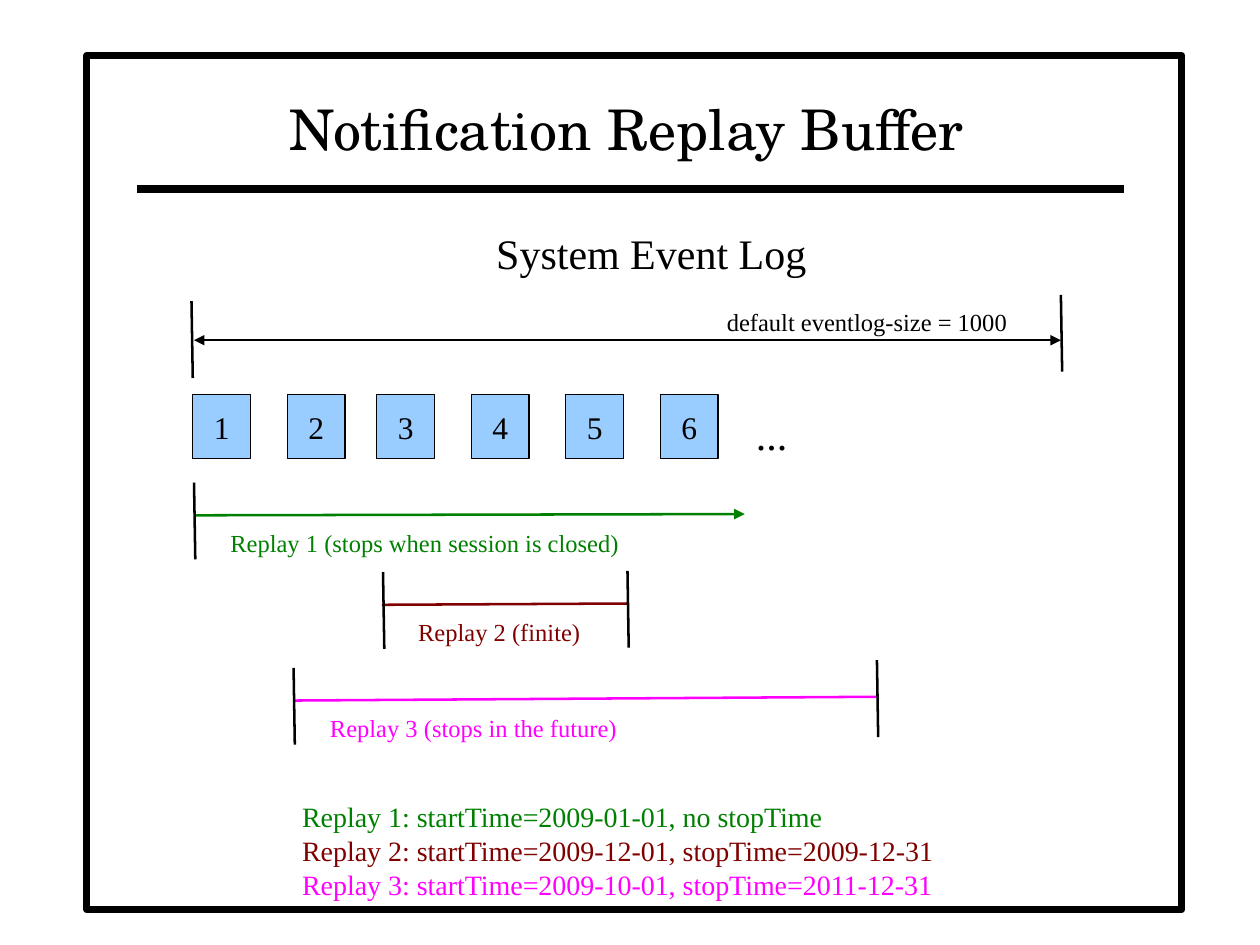
from dataclasses import dataclass
from typing import Optional

from lxml.etree import SubElement
from pptx import Presentation
from pptx.dml.color import RGBColor
from pptx.enum.shapes import MSO_CONNECTOR, MSO_SHAPE
from pptx.enum.text import MSO_ANCHOR, PP_ALIGN
from pptx.oxml.ns import qn
from pptx.util import Inches, Pt


@dataclass(frozen=True)
class Theme:
    black: RGBColor = RGBColor(0x00, 0x00, 0x00)
    white: RGBColor = RGBColor(0xFF, 0xFF, 0xFF)
    event: RGBColor = RGBColor(0x99, 0xCC, 0xFF)
    green: RGBColor = RGBColor(0x00, 0x80, 0x00)
    maroon: RGBColor = RGBColor(0x80, 0x00, 0x00)
    magenta: RGBColor = RGBColor(0xFF, 0x00, 0xFF)
    title_font: str = "TeX Gyre Schola"
    body_font: str = "Times New Roman"
    title_size: int = 32
    heading_size: int = 24
    event_size: int = 18
    legend_size: int = 16
    label_size: int = 14
    span_width: float = 1.45
    rule_width: float = 4.5
    frame_width: float = 4


THEME = Theme()


@dataclass(frozen=True)
class Span:
    """A time span: a line from (x1, y1) to (x2, y2), with arrows if open."""
    x1: float
    y1: float
    x2: float
    y2: float
    color: RGBColor
    head: bool = False
    tail: bool = False


@dataclass(frozen=True)
class Replay:
    span: Span
    label: str
    label_width: float
    times: str


SPAN_OF_LOG = Span(1.54, 2.7, 8.42, 2.7, THEME.black, head=True, tail=True)
REPLAYS = (
    Replay(Span(1.54, 4.09, 5.91, 4.08, THEME.green, tail=True),
           "Replay 1 (stops when session is closed)", 3.3,
           "Replay 1: startTime=2009-01-01, no stopTime"),
    Replay(Span(3.03, 4.8, 4.98, 4.79, THEME.maroon),
           "Replay 2 (finite)", 1.49,
           "Replay 2: startTime=2009-12-01, stopTime=2009-12-31"),
    Replay(Span(2.33, 5.56, 6.96, 5.53, THEME.magenta),
           "Replay 3 (stops in the future)", 2.49,
           "Replay 3: startTime=2009-10-01, stopTime=2011-12-31"),
)
EVENT_LEFTS = (1.53, 2.28, 2.99, 3.74, 4.49, 5.24)
TICKS = ((1.52, 2.39), (8.42, 2.34), (1.54, 3.83), (3.04, 4.54),
         (4.98, 4.53), (2.33, 5.3), (6.96, 5.24))
TICK_LEAN, TICK_HEIGHT = 0.01, 0.61


def style(p, size: int, color: RGBColor = THEME.black,
          font: str = THEME.body_font, align: Optional[PP_ALIGN] = None) -> None:
    p.font.size = Pt(size)
    p.font.name = font
    p.font.color.rgb = color
    p.alignment = align


def add_line(slide, span: Span, width: float = THEME.span_width) -> None:
    line = slide.shapes.add_connector(
        MSO_CONNECTOR.STRAIGHT, Inches(span.x1), Inches(span.y1),
        Inches(span.x2), Inches(span.y2))
    line.line.color.rgb = span.color
    line.line.width = Pt(width)
    ln = line.line._get_or_add_ln()
    for tag, wanted in (("a:headEnd", span.head), ("a:tailEnd", span.tail)):
        if wanted:
            SubElement(ln, qn(tag), type="triangle")
    SubElement(line._element.spPr, qn("a:effectLst"))


def add_box(slide, left: float, top: float, width: float, height: float,
            fill: RGBColor, line_width: float):
    sp = slide.shapes.add_shape(MSO_SHAPE.RECTANGLE, Inches(left), Inches(top),
                                Inches(width), Inches(height))
    sp.shadow.inherit = False
    sp.fill.solid()
    sp.fill.fore_color.rgb = fill
    sp.line.color.rgb = THEME.black
    sp.line.width = Pt(line_width)
    return sp


def add_text(slide, left: float, top: float, width: float, height: float,
             lines: list[tuple[str, RGBColor]], size: int) -> None:
    tf = slide.shapes.add_textbox(Inches(left), Inches(top), Inches(width),
                                  Inches(height)).text_frame
    tf.word_wrap = False
    for i, (text, color) in enumerate(lines):
        p = tf.add_paragraph() if i else tf.paragraphs[0]
        p.text = text
        style(p, size, color)


def add_event(slide, number: int, left: float) -> None:
    sp = add_box(slide, left, 3.13, 0.46, 0.51, THEME.event, 0)
    tf = sp.text_frame
    tf.vertical_anchor = MSO_ANCHOR.MIDDLE
    p = tf.paragraphs[0]
    p.text = str(number)
    style(p, THEME.event_size, align=PP_ALIGN.CENTER)


def add_title(slide, text: str) -> None:
    title = slide.shapes.title
    title.left, title.top = Inches(1.08), Inches(0.58)
    title.width, title.height = Inches(7.79), Inches(0.75)
    tf = title.text_frame
    tf.vertical_anchor = MSO_ANCHOR.BOTTOM
    p = tf.paragraphs[0]
    p.text = text
    style(p, THEME.title_size, font=THEME.title_font, align=PP_ALIGN.CENTER)


def main() -> None:
    prs = Presentation()
    prs.slide_width, prs.slide_height = Inches(10), Inches(7.5)
    slide = prs.slides.add_slide(prs.slide_layouts[5])

    frame = add_box(slide, 0.69, 0.44, 8.69, 6.78, THEME.white, THEME.frame_width)
    slide.shapes.title._element.addprevious(frame._element)
    add_title(slide, "Notification Replay Buffer")
    add_line(slide, Span(1.09, 1.5, 8.92, 1.5, THEME.black), THEME.rule_width)

    add_text(slide, 3.84, 1.76, 2.66, 0.47,
             [("System Event Log", THEME.black)], THEME.heading_size)
    add_text(slide, 5.67, 2.39, 2.44, 0.37,
             [("default eventlog-size = 1000", THEME.black)], THEME.label_size)
    add_line(slide, SPAN_OF_LOG)
    for number, left in enumerate(EVENT_LEFTS, start=1):
        add_event(slide, number, left)
    add_text(slide, 5.9, 3.19, 0.45, 0.47, [("...", THEME.black)],
             THEME.heading_size)

    for replay in REPLAYS:
        span = replay.span
        add_line(slide, span)
        add_text(slide, span.x1 + 0.19, span.y1 + 0.05, replay.label_width, 0.31,
                 [(replay.label, span.color)], THEME.label_size)
    for x, y in TICKS:
        add_line(slide, Span(x, y, x + TICK_LEAN, y + TICK_HEIGHT, THEME.black))
    add_text(slide, 2.3, 6.3, 5.24, 0.89,
             [(replay.times, replay.span.color) for replay in REPLAYS],
             THEME.legend_size)

    prs.save("out.pptx")


if __name__ == "__main__":
    main()
